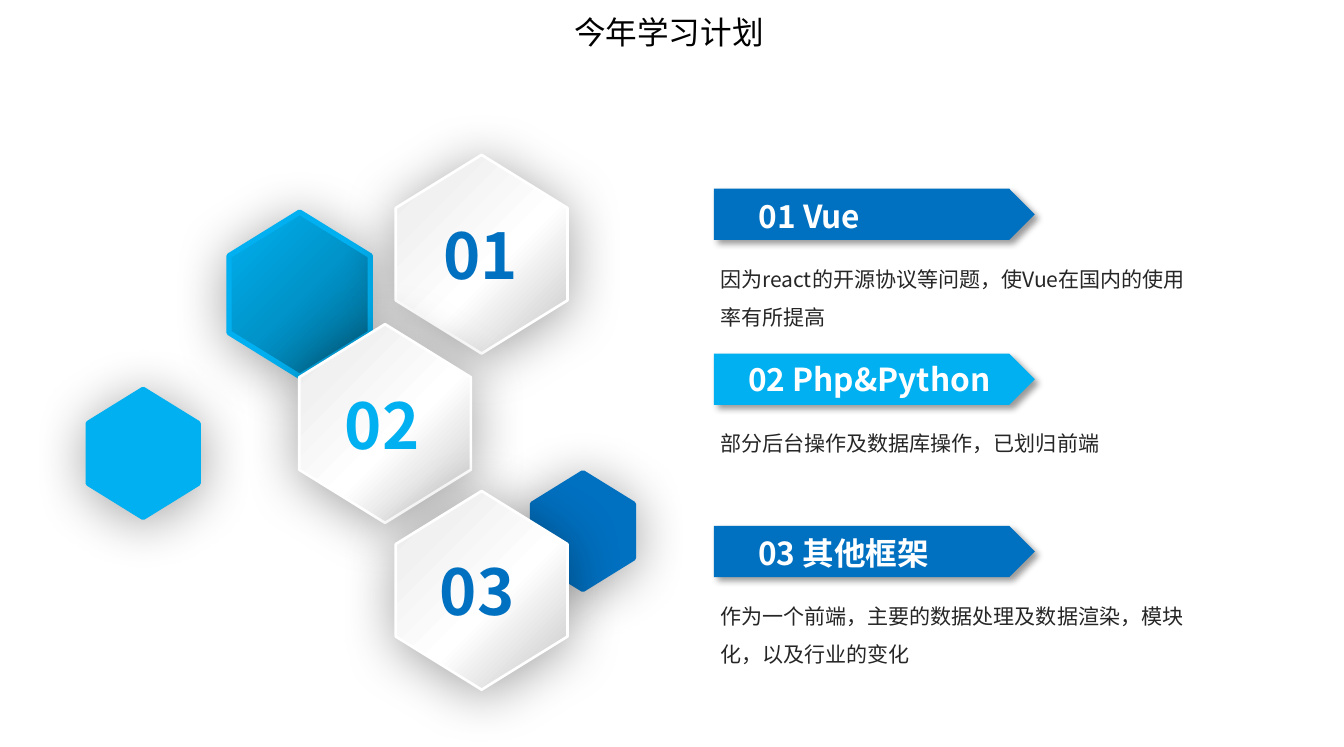
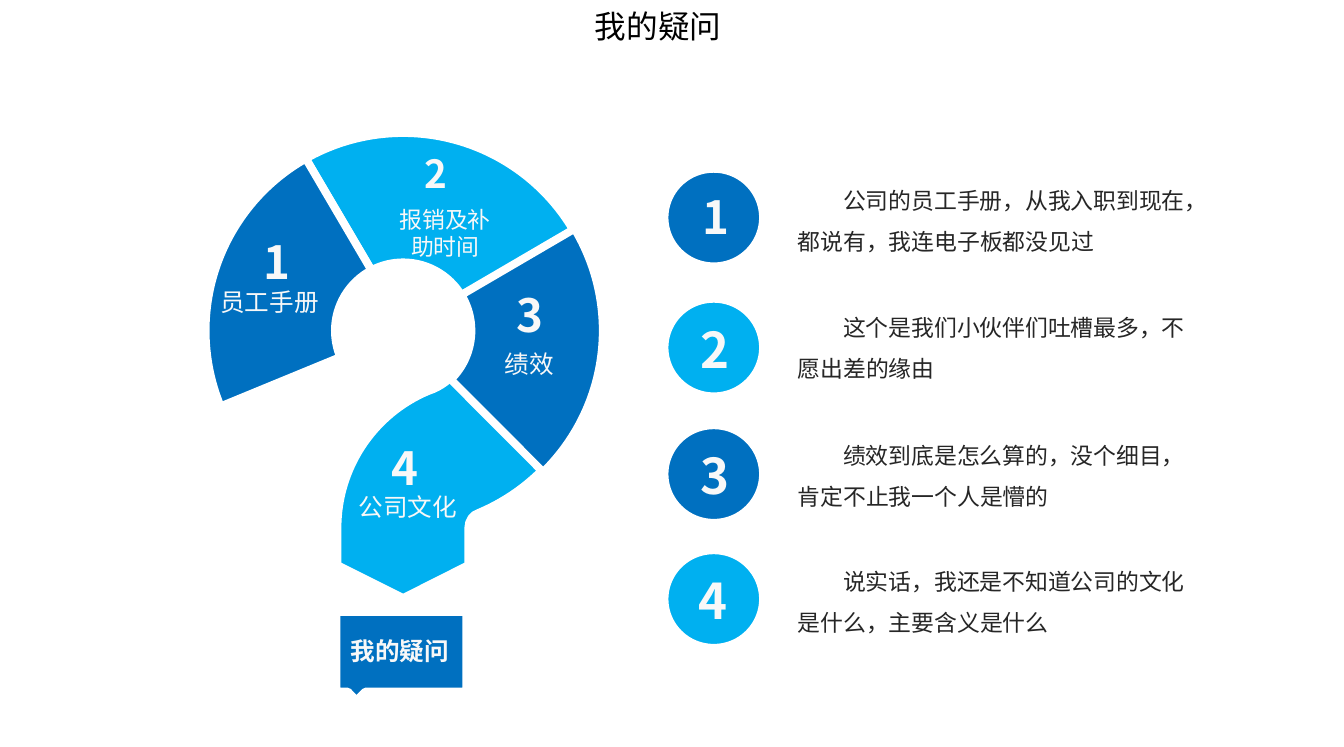
"""Build two slides: a yearly study plan and a list of open questions."""
import math
from dataclasses import dataclass

from lxml import etree
from pptx import Presentation
from pptx import util as u
from pptx.dml.color import RGBColor
from pptx.enum import shapes, text
from pptx.oxml.ns import qn

BLUE = RGBColor(0x00, 0x70, 0xC0)
SKY = RGBColor(0x00, 0xB0, 0xF0)
WHITE = RGBColor(0xFF, 0xFF, 0xFF)
OFF_WHITE = RGBColor(0xF8, 0xF8, 0xF8)
INK = RGBColor(0x26, 0x26, 0x26)
BLACK = RGBColor(0x00, 0x00, 0x00)
FONT = "Noto Sans CJK SC"

SILVER_STOPS = [(6, "CCCCCC"), (43, "FFFFFF"), (80, "F1F1F1"), (100, "E4E4E4")]
OCEAN_STOPS = [(0, "00688E"), (50, "0094CA"), (100, "00B0F0")]

SHAPE = shapes.MSO_SHAPE
CENTER = text.PP_ALIGN.CENTER
GROW = text.MSO_AUTO_SIZE.SHAPE_TO_FIT_TEXT
FIXED = text.MSO_AUTO_SIZE.NONE
TIGHT = (0.19, 0.1)

RING_Y, OUTER, INNER = 6.64, 3.97, 1.37


@dataclass
class Plan:
    number: str
    color: RGBColor
    hexagon: tuple
    number_shift: float
    heading: str
    heading_box: tuple
    top: float
    body: str
    body_height: float


@dataclass
class Sector:
    color: RGBColor
    center: float
    outer: tuple
    inner: tuple


@dataclass
class Segment:
    number: str
    number_at: tuple
    number_size: int
    caption: str
    caption_box: tuple
    caption_size: int = 14


@dataclass
class Question:
    number: str
    color: RGBColor
    top: float
    number_left: float
    number_size: int
    body: str
    body_top: float


PLANS = [
    Plan("01", BLUE, (7.68, 3.38), 0.98, "01 Vue", (14.99, 3.82, 5.41, 0.89), 3.79,
         "因为react的开源协议等问题，使Vue在国内的使用率有所提高", 1.73),
    Plan("02", SKY, (5.74, 6.78), 0.94, "02 Php&Python",
         (14.78, 7.1, 5.82, 0.89), 7.1, "部分后台操作及数据库操作，已划归前端", 0.97),
    Plan("03", BLUE, (7.68, 10.13), 0.91, "03 其他框架",
         (14.98, 10.59, 5.41, 0.89), 10.56,
         "作为一个前端，主要的数据处理及数据渲染，模块化，以及行业的变化", 1.73),
]

SECTORS = [
    Sector(SKY, 8.1, (240.5, 331.5), (242.3, 334)),
    Sector(BLUE, 8.14, (329, 405.7), (328.5, 405.7)),
    Sector(BLUE, 8.1, (157.5, 240.5), (157.2, 242.3)),
]

SEGMENTS = [
    Segment("1", (5.05, 4.56), 26, "员工手册", (3.98, 5.64, 2.87, 0.86)),
    Segment("2", (8.28, 2.89), 22, "报销及补助时间", (7.75, 4, 2.39, 1.37), 13),
    Segment("3", (10.12, 5.64), 26, "绩效", (9.44, 6.88, 2.39, 0.86)),
    Segment("4", (7.62, 8.71), 26, "公司文化", (6.95, 9.75, 2.49, 0.86)),
]

QUESTIONS = [
    Question("1", BLUE, 3.39, 13.87, 26,
             "公司的员工手册，从我入职到现在，都说有，我连电子板都没见过", 3.38),
    Question("2", SKY, 6, 13.82, 28,
             "这个是我们小伙伴们吐槽最多，不愿出差的缘由", 5.92),
    Question("3", BLUE, 8.54, 13.82, 28,
             "绩效到底是怎么算的，没个细目，肯定不止我一个人是懵的", 8.5),
    Question("4", SKY, 11.05, 13.79, 28,
             "说实话，我还是不知道公司的文化是什么，主要含义是什么", 11.02),
]


def add_text(parent, words: str, box: tuple, *, size: int, color: RGBColor,
             bold: bool = False, align=None, spacing: float = None,
             indent: float = 0, inset: tuple = (0.25, 0.13),
             wrap: bool = True, fit=GROW) -> None:
    """Write one paragraph in a text box measured in centimetres."""
    frame = parent.add_textbox(*map(u.Cm, box)).text_frame
    frame.word_wrap = wrap
    frame.auto_size = fit
    frame.margin_left = frame.margin_right = u.Cm(inset[0])
    frame.margin_top = frame.margin_bottom = u.Cm(inset[1])
    paragraph = frame.paragraphs[0]
    paragraph.alignment = align
    paragraph.line_spacing = spacing
    if indent:
        paragraph._p.get_or_add_pPr().set("indent", str(u.Cm(indent)))
    run = paragraph.add_run()
    run.text = words
    run.font.name = FONT
    run.font.size = u.Pt(size)
    run.font.bold = bold
    run.font.color.rgb = color
    east_asian = etree.SubElement(run._r.get_or_add_rPr(), qn("a:ea"))
    east_asian.set("typeface", FONT)


def paint(shape, fill, line: RGBColor = None, width: float = 0) -> None:
    """Give a shape a plain or gradient fill and an optional outline."""
    shape.shadow.inherit = False
    if isinstance(fill, list):
        shape.fill.gradient()
        shape.fill.gradient_angle = 225
        stops = shape._element.spPr.find(".//" + qn("a:gsLst"))
        for stop in list(stops):
            stops.remove(stop)
        for percent, color in fill:
            stop = etree.SubElement(stops, qn("a:gs"), pos=str(percent * 1000))
            etree.SubElement(stop, qn("a:srgbClr"), val=color)
    else:
        shape.fill.solid()
        shape.fill.fore_color.rgb = fill
    if line is None:
        shape.line.fill.background()
    else:
        shape.line.color.rgb = line
        shape.line.width = u.Pt(width)


def cast_shadow(shape, opacity: int, blur: int, angle: int) -> None:
    """Add a soft black outer shadow."""
    effects = shape._element.spPr.find(qn("a:effectLst"))
    shadow = etree.SubElement(
        effects, qn("a:outerShdw"), blurRad=str(u.Pt(blur)), dist=str(u.Pt(3)),
        dir=str(angle * 60000), algn="ctr", rotWithShape="0")
    black = etree.SubElement(shadow, qn("a:srgbClr"), val=str(BLACK))
    etree.SubElement(black, qn("a:alpha"), val=str(opacity * 1000))


def add_hexagon(parent, box: tuple, fill, line: RGBColor, width: float) -> None:
    """Draw an upright hexagon with a soft shadow."""
    hexagon = parent.add_shape(SHAPE.HEXAGON, *map(u.Cm, box))
    hexagon.rotation = 90
    hexagon.adjustments[0] = 0.309
    paint(hexagon, fill, line, width)
    cast_shadow(hexagon, 37, 31, 90)


def arc(x: float, y: float, radius: float, start: float, stop: float,
        joined: bool = False) -> list:
    """Return an arc as Bezier steps split at quarter turns, clockwise from the right."""
    low, high = sorted((start, stop))
    quarters = [q for q in range(0, 541, 90) if low < q < high]
    angles = [math.radians(a) for a in sorted([low, *quarters, high],
                                              reverse=start > stop)]

    def point(angle: float, reach: float = 0) -> tuple:
        """Return the point at an angle, moved along its tangent."""
        return (x + radius * (math.cos(angle) - reach * math.sin(angle)),
                y + radius * (math.sin(angle) + reach * math.cos(angle)))

    steps = [] if joined else [(point(angles[0]),)]
    for first, last in zip(angles, angles[1:]):
        reach = 4 / 3 * math.tan((last - first) / 4)
        steps.append((point(first, reach), point(last, -reach), point(last)))
    return steps


def add_outline(parent, steps: list, fill: RGBColor) -> None:
    """Draw a closed outline from line and Bezier steps with a white border."""
    corners = [(u.Cm(x), u.Cm(y)) for step in steps for x, y in step]
    builder = parent.build_freeform(*corners[0], scale=1.0)
    builder.add_line_segments(corners[1:], close=True)
    outline = builder.convert_to_shape()
    lines = iter(outline._element.spPr.findall(".//" + qn("a:lnTo")))
    for step in steps[1:]:
        parts = [next(lines) for _ in step]
        if len(parts) == 3:
            curve = etree.Element(qn("a:cubicBezTo"))
            parts[0].addprevious(curve)
            for part in parts:
                curve.append(part[0])
                part.getparent().remove(part)
    paint(outline, fill, WHITE, 4.5)


def add_title(slide, words: str, left: float, top: float, width: float) -> None:
    """Write the slide title at the top."""
    add_text(slide.shapes, words, (left, top, width, 0.97), size=18,
             color=BLACK, align=CENTER, inset=TIGHT)


def add_plan(slide, plan: Plan) -> None:
    """Draw a numbered hexagon with its banner and explanation."""
    left, top = plan.hexagon
    badge = slide.shapes.add_group_shape().shapes
    add_hexagon(badge, (left, top, 3.99, 3.45), SILVER_STOPS, WHITE, 1.5)
    add_text(badge, plan.number, (left + plan.number_shift, top + 0.84, 2.21, 0.89),
             size=36, color=plan.color, bold=True, fit=FIXED)
    banner = slide.shapes.add_group_shape().shapes
    arrow = banner.add_shape(SHAPE.PENTAGON,
                             *map(u.Cm, (14.34, plan.top, 6.45, 1.03)))
    paint(arrow, plan.color)
    cast_shadow(arrow, 40, 4, 45)
    add_text(banner, plan.heading, plan.heading_box, size=18, color=WHITE,
             bold=True, fit=FIXED)
    add_text(slide.shapes, plan.body, (14.27, plan.top + 1.2, 9.8, plan.body_height),
             size=12, color=INK, spacing=1.5, inset=(0.2, 0.1))


def add_question_mark(slide) -> None:
    """Draw the question mark, its three ring sectors and its label."""
    label = [(6.76, 12.29), (9.37, 12.29), (9.37, 13.89), (7.34, 13.89),
             (7.16, 14.07), (6.99, 13.89), (6.76, 13.89)]
    add_outline(slide.shapes, [(corner,) for corner in label], BLUE)
    tail = (9.76, 10.6)
    mark = (arc(8.08, RING_Y, OUTER, 157.5, 427)
            + arc(*tail, 0.35, 247, 180, joined=True)
            + [((9.41, 11.35),), ((8.1, 12.01),), ((6.78, 11.35),)]
            + arc(*tail, 2.98, 180, 247)
            + arc(8.08, RING_Y, INNER, 427, 157.5, joined=True))
    add_outline(slide.shapes, mark, SKY)
    for sector in SECTORS:
        start, stop = sector.inner
        ring = (arc(sector.center, RING_Y, OUTER, *sector.outer)
                + arc(8.1, RING_Y, INNER, stop, start))
        add_outline(slide.shapes, ring, sector.color)


def add_segment(slide, segment: Segment) -> None:
    """Write the number and caption of one part of the question mark."""
    group = slide.shapes.add_group_shape().shapes
    add_text(group, segment.number, (*segment.number_at, 1.09, 1.37),
             size=segment.number_size, color=OFF_WHITE, bold=True, wrap=False)
    add_text(group, segment.caption, segment.caption_box,
             size=segment.caption_size, color=OFF_WHITE, align=CENTER)


def add_question(slide, question: Question) -> None:
    """Draw a numbered disc with its question."""
    group = slide.shapes.add_group_shape().shapes
    disc = group.add_shape(SHAPE.OVAL, *map(u.Cm, (13.35, question.top, 1.98, 1.96)))
    paint(disc, question.color, WHITE, 4.5)
    add_text(group, question.number,
             (question.number_left, question.top + 0.28, 1.11, 1.42),
             size=question.number_size, color=OFF_WHITE, bold=True, wrap=False)
    add_text(slide.shapes, question.body, (15.84, question.body_top, 8.33, 1.85),
             size=13, color=INK, spacing=1.5, indent=0.91, inset=TIGHT)


def build_plan_slide(slide) -> None:
    """Fill the study plan slide."""
    add_hexagon(slide.shapes, (10.54, 9.65, 2.34, 2.03), BLUE, BLUE, 3)
    add_hexagon(slide.shapes, (4.37, 4.49, 3.3, 2.84), OCEAN_STOPS, SKY, 3)
    add_hexagon(slide.shapes, (1.59, 8, 2.57, 2.21), SKY, SKY, 3)
    for plan in PLANS:
        add_plan(slide, plan)
    add_title(slide, "今年学习计划", 9.96, 0.15, 6.96)


def build_question_slide(slide) -> None:
    """Fill the open questions slide."""
    add_question_mark(slide)
    for segment in SEGMENTS:
        add_segment(slide, segment)
    add_text(slide.shapes, "我的疑问", (6.84, 12.67, 2.39, 0.79), size=14,
             color=OFF_WHITE, bold=True, align=CENTER, inset=TIGHT)
    for question in QUESTIONS:
        add_question(slide, question)
    add_title(slide, "我的疑问", 9.93, 0.04, 6.58)


def main() -> None:
    """Create and save the presentation."""
    deck = Presentation()
    deck.slide_width, deck.slide_height = u.Cm(27), u.Cm(15)
    for build in (build_plan_slide, build_question_slide):
        build(deck.slides.add_slide(deck.slide_layouts[6]))
    deck.save("out.pptx")


if __name__ == "__main__":
    main()
